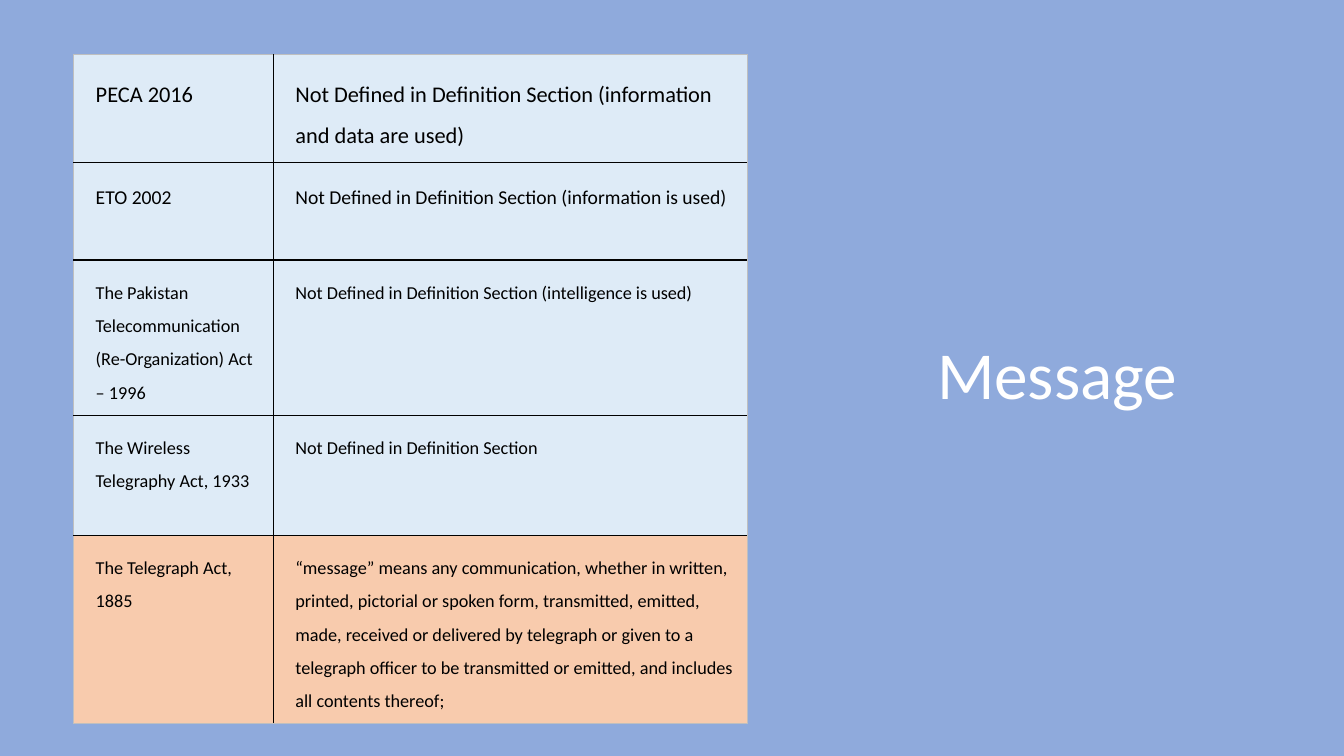
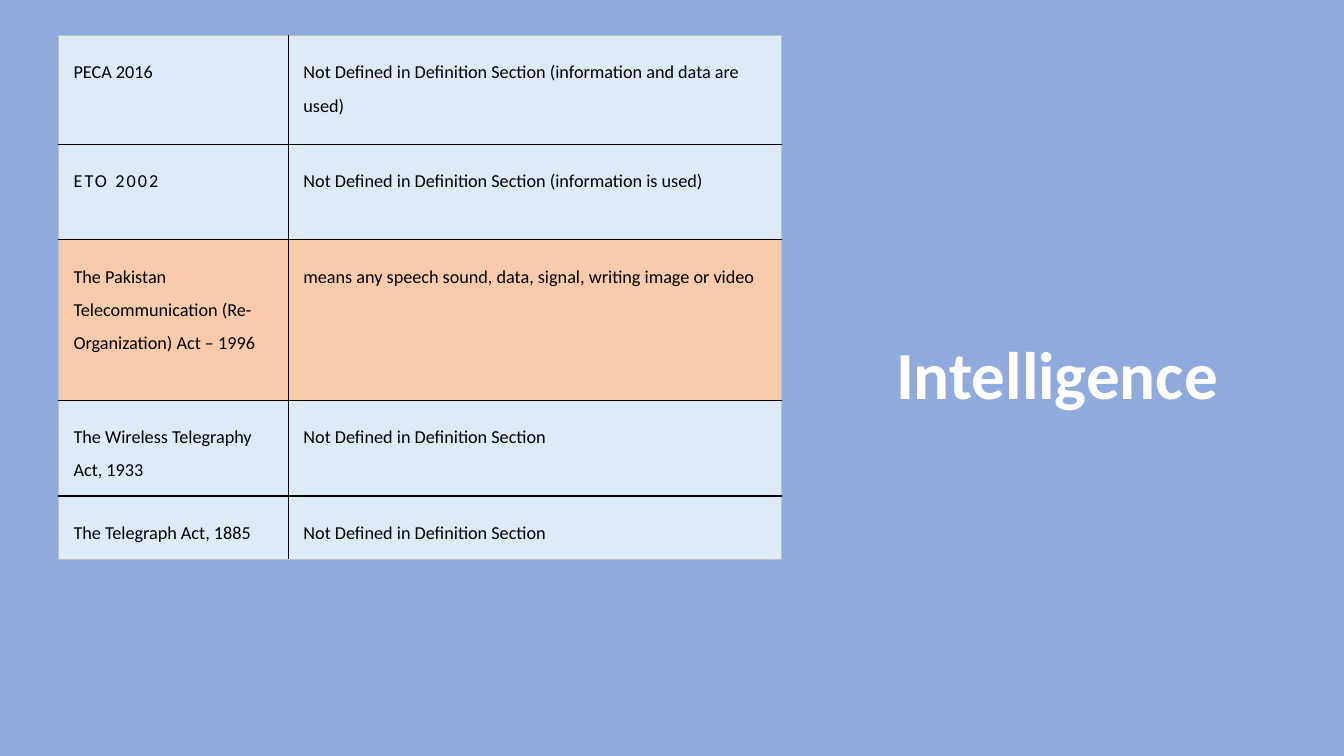
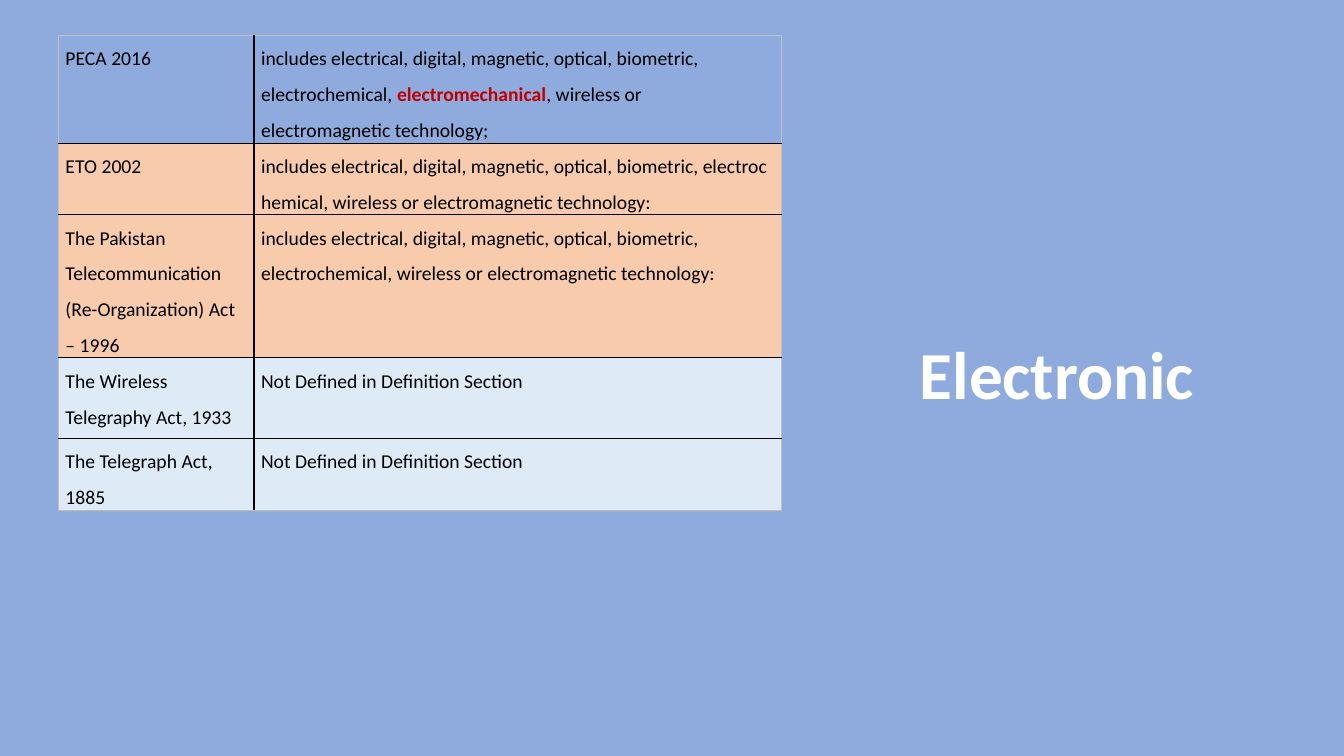
from lxml import etree
from pptx import Presentation
from pptx.dml.color import RGBColor
from pptx.enum import text as txt
from pptx.oxml.ns import qn
from pptx.util import Inches, Pt

FONT = "Calibri"
HUES = {
    "back": "8FAADC", "title": "FFFFFF", "body": "000000", "mark": "C00000",
    "rule": "000000", "edge": "BFBFBF", "plain": "DEEBF7", "found": "F8CBAD",
}
ACTS = [
    "PECA 2016",
    "ETO 2002",
    "The Pakistan Telecommunication (Re-Organization) Act – 1996",
    "The Wireless Telegraphy Act, 1933",
    "The Telegraph Act, 1885",
]
NONE = "Not Defined in Definition Section"

# In a definition, *word* is stressed and ~ is a no-break space.
# Row: height, text size, top and bottom inset, fill, definition.
TERMS = [
    {
        "title": "Message", "bold": False, "spot": (0.73, 0.54),
        "cols": (1.98, 4.7), "sides": (0.22, 0.11), "wide": None,
        "rows": [
            (1.07, 16, 0.13, "plain", NONE + " (information and data are used)"),
            (0.97, 14, 0.12, "plain", NONE + " (information is used)"),
            (1.54, 13, 0.11, "plain", NONE + " (intelligence is used)"),
            (1.19, 13, 0.11, "plain", NONE),
            (1.87, 13, 0.11, "found",
             "“message” means any communication, whether in written, printed, "
             "pictorial or spoken form, transmitted, emitted, made, received or "
             "delivered by telegraph or given to a telegraph officer to be "
             "transmitted or emitted, and includes all contents thereof;"),
        ],
    },
    {
        "title": "Intelligence", "bold": True, "spot": (0.58, 0.35),
        "cols": (2.28, 4.89), "sides": (0.15, 0.15), "wide": (1, 0),
        "rows": [
            (1.08, 13, 0.15, "plain", NONE + " (information and data are used)"),
            (0.95, 13, 0.15, "plain", NONE + " (information is used)"),
            (1.59, 13, 0.15, "found",
             "means any speech sound, data, signal, writing image or video"),
            (0.95, 13, 0.15, "plain", NONE),
            (0.62, 13, 0.15, "plain", NONE),
        ],
    },
    {
        "title": "Electronic", "bold": True, "spot": (0.58, 0.35),
        "cols": (1.94, 5.23), "sides": (0.07, 0.07), "wide": None,
        "rows": [
            (1.07, 14, 0, None,
             "includes electrical, digital, magnetic, optical, biometric, "
             "electrochemical, *electromechanical*, wireless or "
             "electromagnetic technology;"),
            (0.71, 14, 0, "found",
             "includes~electrical,~digital,~magnetic,~optical,~biometric,~"
             "electrochemical,~wireless~or electromagnetic~technology:~"),
            (1.42, 14, 0, "found",
             "includes electrical, digital, magnetic, optical, biometric, "
             "electrochemical, wireless or electromagnetic technology:"),
            (0.8, 14, 0, "plain", NONE),
            (0.71, 14, 0, "plain", NONE),
        ],
    },
]


def style(run, size, hue, bold=False):
    run.font.name = FONT
    run.font.size = Pt(size)
    run.font.bold = bold
    run.font.color.rgb = RGBColor.from_string(HUES[hue])


def rule(cell, side, inner):
    """Draw one border: black between cells, a faint hairline outside."""
    line = etree.SubElement(cell._tc.get_or_add_tcPr(), qn("a:ln" + side),
                            w=str(Pt(1 if inner else 0.25)))
    fill = etree.SubElement(line, qn("a:solidFill"))
    etree.SubElement(fill, qn("a:srgbClr"), val=HUES["rule" if inner else "edge"])


deck = Presentation()
deck.slide_width, deck.slide_height = Inches(13.33), Inches(7.5)

for term in TERMS:
    slide = deck.slides.add_slide(deck.slide_layouts[6])
    slide.background.fill.solid()
    slide.background.fill.fore_color.rgb = RGBColor.from_string(HUES["back"])

    frame = slide.shapes.add_textbox(
        Inches(8.48), Inches(1), Inches(4.01), Inches(3.16)).text_frame
    frame.word_wrap = True
    frame.vertical_anchor = txt.MSO_ANCHOR.BOTTOM
    frame.text = term["title"]
    head = frame.paragraphs[0]
    head.alignment = txt.PP_ALIGN.CENTER
    head.line_spacing = 0.9
    style(head.runs[0], 48, "title", term["bold"])

    rows, cols = term["rows"], term["cols"]
    left, top = term["spot"]
    table = slide.shapes.add_table(
        len(rows), len(cols), Inches(left), Inches(top),
        Inches(sum(cols)), Inches(sum(row[0] for row in rows))).table
    table.first_row = table.horz_banding = False
    for col, width in zip(table.columns, cols):
        col.width = Inches(width)

    for i, (high, size, pad, fill, text) in enumerate(rows):
        table.rows[i].height = Inches(high)
        for j, words in enumerate((ACTS[i], text)):
            cell = table.cell(i, j)
            cell.margin_left, cell.margin_right = map(Inches, term["sides"])
            cell.margin_top = cell.margin_bottom = Inches(pad)
            rule(cell, "L", j > 0)
            rule(cell, "R", j < len(cols) - 1)
            rule(cell, "T", i > 0)
            rule(cell, "B", i < len(rows) - 1)
            if fill:
                cell.fill.solid()
                cell.fill.fore_color.rgb = RGBColor.from_string(HUES[fill])
            else:
                cell.fill.background()

            para = cell.text_frame.paragraphs[0]
            para.line_spacing = 1.5
            for n, part in enumerate(words.replace("~", chr(160)).split("*")):
                run = para.add_run()
                run.text = part
                stress = n % 2 == 1
                style(run, size, "mark" if stress else "body", stress)
                if (i, j) == term["wide"]:
                    run.font._element.set("spc", "150")

deck.save("out.pptx")
